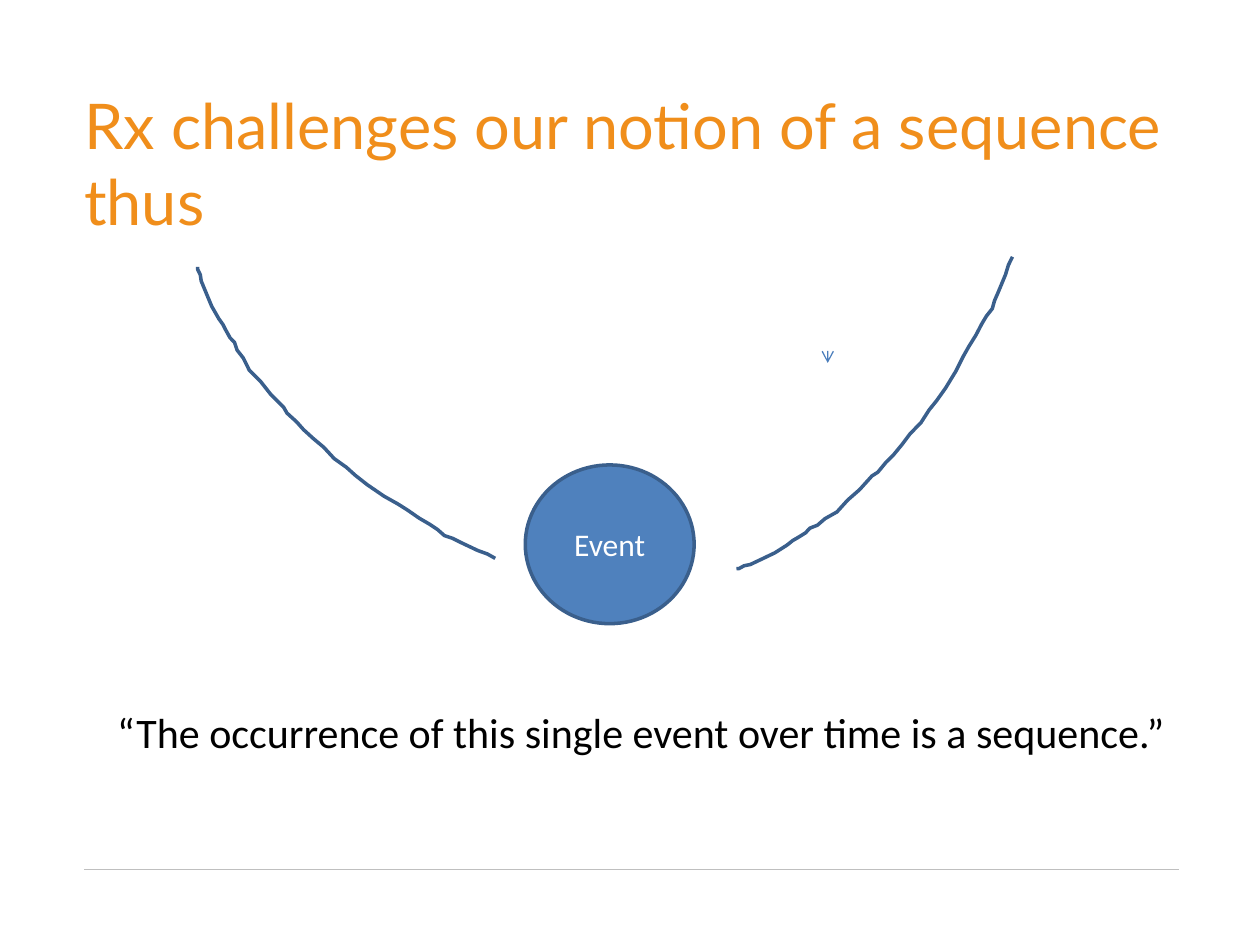
from lxml import etree
from pptx import Presentation
from pptx.dml.color import RGBColor
from pptx.enum.shapes import MSO_CONNECTOR, MSO_SHAPE
from pptx.enum.text import MSO_ANCHOR, MSO_AUTO_SIZE, PP_ALIGN
from pptx.oxml.ns import qn
from pptx.util import Pt

STRAIGHT = MSO_CONNECTOR.STRAIGHT
OVAL = MSO_SHAPE.OVAL
MIDDLE = MSO_ANCHOR.MIDDLE
TOP = MSO_ANCHOR.TOP
CENTER = PP_ALIGN.CENTER
GROW = MSO_AUTO_SIZE.SHAPE_TO_FIT_TEXT

ORANGE = RGBColor(0xF0, 0x8E, 0x1B)
BLUE = RGBColor(0x4F, 0x81, 0xBD)
ARROW_BLUE = RGBColor(0x4B, 0x7E, 0xBC)
DARK_BLUE = RGBColor(0x3A, 0x5F, 0x8C)
GREY = RGBColor(0xBF, 0xBF, 0xBF)
BLACK = RGBColor(0, 0, 0)
WHITE = RGBColor(255, 255, 255)

ORBIT = [
    (170, 166.5), (165.5, 164), (160, 162), (150.5, 157.5), (145.5, 155),
    (141, 153.5), (137, 150), (132.5, 147), (126.5, 143.5), (120, 139),
    (114.5, 135.5), (106.5, 131), (97, 124.5), (90, 119), (85, 114.5),
    (78, 109.5), (72, 103), (66, 98), (60.5, 93), (56.5, 88.5), (51, 83.5),
    (49, 80), (41.5, 72.5), (36, 65.5), (29.5, 59), (26, 52), (22.5, 47.5),
    (21, 43), (18.5, 40.5), (16, 36), (14.5, 33), (12, 29.5), (8, 22.5),
    (5.5, 16.5), (2, 8), (1.5, 4.5), (0, 1.5), (0, 0),
]


class SlideBuilder:
    """Draws styled elements on one slide, with lengths in points."""

    def __init__(self, slide):
        self.shapes = slide.shapes
        self.body_font = "Calibri"
        self.title_font = "Lato"
        self.outline = Pt(2)
        self.thin = Pt(0.75)

    def set_words(self, frame, words, font, size, color):
        frame.text = words
        style = frame.paragraphs[0].runs[0].font
        style.name, style.size = font, Pt(size)
        style.color.rgb = color

    def text(self, left, top, width, height, words, size, color,
             font=None, insets=(7.2, 3.6, 7.2, 3.6), anchor=TOP, wrap=True):
        box = self.shapes.add_textbox(Pt(left), Pt(top), Pt(width), Pt(height))
        frame = box.text_frame
        frame.word_wrap = wrap
        frame.vertical_anchor = anchor
        if not wrap:
            frame.auto_size = GROW
        (frame.margin_left, frame.margin_top,
         frame.margin_right, frame.margin_bottom) = map(Pt, insets)
        self.set_words(frame, words, font or self.body_font, size, color)

    def line(self, x1, y1, x2, y2, color, arrow=False):
        link = self.shapes.add_connector(STRAIGHT, Pt(x1), Pt(y1), Pt(x2), Pt(y2))
        link.line.color.rgb = color
        link.line.width = self.thin
        properties = link._element.spPr
        if arrow:
            etree.SubElement(properties.find(qn("a:ln")), qn("a:tailEnd"), type="arrow")
        etree.SubElement(properties, qn("a:effectLst"))

    def circle(self, left, top, width, height, words):
        circle = self.shapes.add_shape(OVAL, Pt(left), Pt(top), Pt(width), Pt(height))
        circle.shadow.inherit = False
        circle.fill.solid()
        circle.fill.fore_color.rgb = BLUE
        circle.line.color.rgb = DARK_BLUE
        circle.line.width = self.outline
        circle.text_frame.vertical_anchor = MIDDLE
        self.set_words(circle.text_frame, words, self.body_font, 18, WHITE)
        circle.text_frame.paragraphs[0].alignment = CENTER

    def curve(self, left, top, points, rotation=0):
        start, *rest = [(Pt(left + x), Pt(top + y)) for x, y in points]
        builder = self.shapes.build_freeform(*start)
        builder.add_line_segments(rest, close=False)
        curve = builder.convert_to_shape()
        curve.shadow.inherit = False
        curve.fill.background()
        curve.line.color.rgb = DARK_BLUE
        curve.line.width = self.outline
        curve.rotation = rotation


def main():
    deck = Presentation()
    deck.slide_width, deck.slide_height = Pt(720), Pt(540)
    page = SlideBuilder(deck.slides.add_slide(deck.slide_layouts[6]))

    page.line(48.2, 496.8, 673.9, 496.8, GREY)
    page.text(48.2, 54.7, 629.3, 79.9, "Rx challenges our notion of a sequence thus",
              36, ORANGE, page.title_font, (0, 0, 7.2, 3.6), MIDDLE)
    page.line(473, 202.3, 473, 207.4, ARROW_BLUE, arrow=True)
    page.circle(300.2, 265.7, 96.5, 90.7, "Event")
    for left, rotation in ((113, 0), (414.7, 267.1)):
        page.curve(left, 152.6, ORBIT, rotation)
    page.text(59.8, 400.3, 619.2, 36,
              "“The occurrence of this single event over time is a sequence.”",
              24, BLACK, wrap=False)

    deck.save("out.pptx")


if __name__ == "__main__":
    main()
